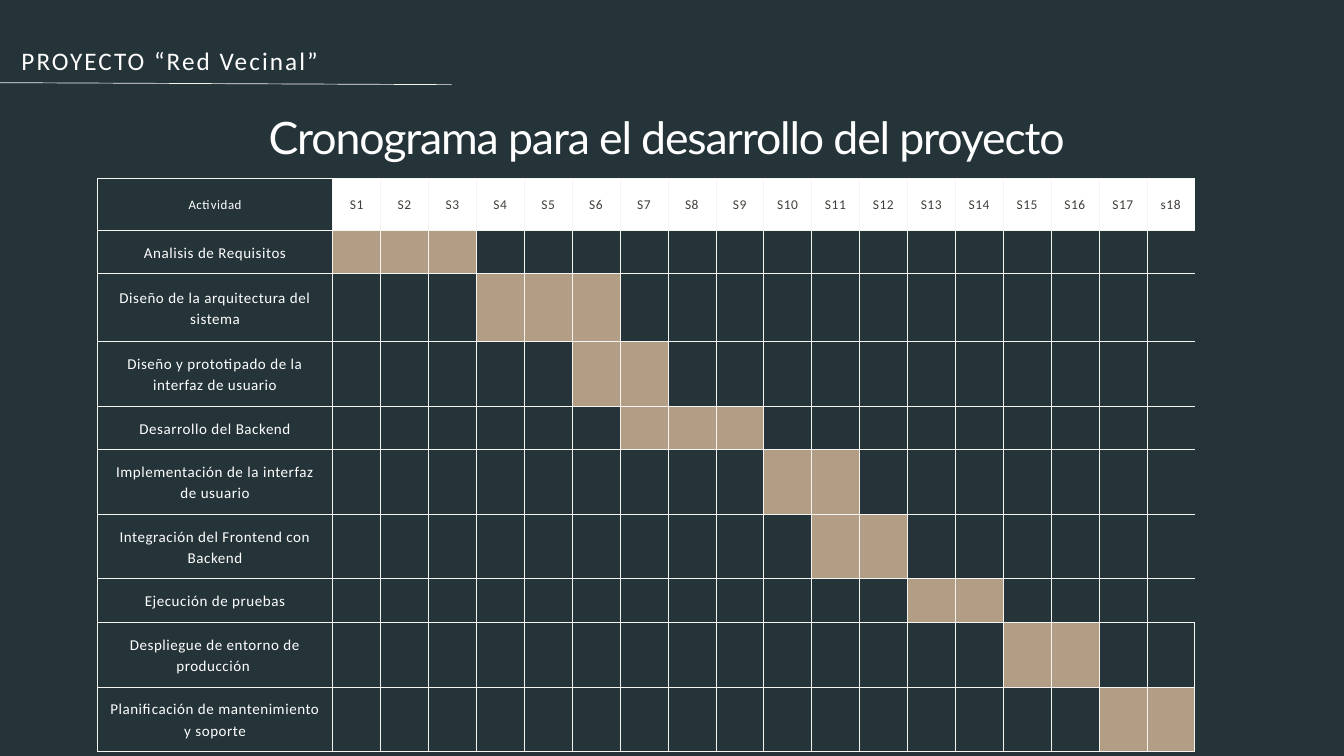
from pptx import Presentation
from pptx.dml.color import RGBColor
from pptx.enum.shapes import MSO_CONNECTOR
from pptx.enum.text import MSO_ANCHOR, PP_ALIGN
from pptx.oxml import parse_xml
from pptx.oxml.ns import nsdecls
from pptx.util import Inches, Pt

# Theme: colours, and per text style the font, size, line height, tracking (pt)
THEME = {
    "background": "253439", "bar": "B29E84", "grid": "F6F4F1", "week_fill": "FFFFFF",
    "title": dict(font="Lato", size=47.8, leading=57.4, tracking=-1.2, color="FFFFFF"),
    "project": dict(font="Calibri", size=27, leading=32.4, tracking=2.2, color="FFFFFF"),
    "corner": dict(font="Calibri", size=13.8, leading=19.2, tracking=0.6, color="FFFFFF"),
    "week": dict(font="Calibri", size=14.4, leading=20.1, tracking=0.6, color="423E3A"),
    "activity": dict(font="Calibri", size=16.1, leading=22.6, tracking=0.6, color="FFFFFF"),
}
GRID_WIDTH = 0.48

# Activity, first week, last week, row height
SCHEDULE = [
    ("Analisis de Requisitos", 1, 3, 0.65),
    ("Diseño de la arquitectura del sistema", 4, 6, 1.01),
    ("Diseño y prototipado de la interfaz de usuario", 6, 7, 0.96),
    ("Desarrollo del Backend", 7, 9, 0.65),
    ("Implementación de la interfaz de usuario", 10, 11, 0.96),
    ("Integración del Frontend con Backend", 11, 12, 0.96),
    ("Ejecución de pruebas", 13, 14, 0.65),
    ("Despliegue de entorno de producción ", 15, 16, 0.96),
    ("Planificación de mantenimiento y soporte", 17, 18, 0.96),
]
WEEKS = [f"S{n}" for n in range(1, 18)] + ["s18"]
OPEN_ROWS = 8  # rows from the top without a right-hand edge


def write(frame, text, style, align=PP_ALIGN.CENTER):
    look = THEME[style]
    paragraph = frame.paragraphs[0]
    paragraph.alignment = align
    paragraph.line_spacing = Pt(look["leading"])
    run = paragraph.add_run()
    run.text = text
    run.font.name = look["font"]
    run.font.size = Pt(look["size"])
    run.font.bold = False
    run.font.color.rgb = RGBColor.from_string(look["color"])
    run.font._element.set("spc", str(round(look["tracking"] * 100)))


def paint(cell, color, open_right):
    properties = cell._tc.get_or_add_tcPr()
    for side in "LRTB":
        hidden = side == "R" and open_right
        width = 0 if hidden else int(Pt(GRID_WIDTH))
        ink = "<a:noFill/>" if hidden else (
            f'<a:solidFill><a:srgbClr val="{THEME["grid"]}"/></a:solidFill>')
        properties.append(parse_xml(
            f'<a:ln{side} {nsdecls("a")} w="{width}">{ink}</a:ln{side}>'))
    cell.fill.solid()
    cell.fill.fore_color.rgb = RGBColor.from_string(color)


presentation = Presentation()
presentation.slide_width, presentation.slide_height = Inches(20), Inches(11.25)
slide = presentation.slides.add_slide(presentation.slide_layouts[5])
slide.background.fill.solid()
slide.background.fill.fore_color.rgb = RGBColor.from_string(THEME["background"])

# Title and project name
title = slide.shapes.title
title.left, title.top = Inches(0.1), Inches(1.63)
title.width, title.height = Inches(19.8), Inches(0.79)
project = slide.shapes.add_textbox(Inches(0.32), Inches(0.67), Inches(19.8), Inches(0.44))
frame_format = dict(margin_left=0, margin_top=0, margin_right=0, margin_bottom=0,
                    word_wrap=True, vertical_anchor=MSO_ANCHOR.TOP)
for box in (title, project):
    for name, value in frame_format.items():
        setattr(box.text_frame, name, value)
write(title.text_frame, "Cronograma para el desarrollo del proyecto ", "title")
write(project.text_frame, "PROYECTO “Red Vecinal”", "project", PP_ALIGN.LEFT)

# Rule under the project name
rule = slide.shapes.add_connector(
    MSO_CONNECTOR.STRAIGHT, Inches(-0.01), Inches(1.23), Inches(6.72), Inches(1.26))
rule.line.color.rgb = RGBColor.from_string(THEME["grid"])
rule.line.width = Pt(0.75)
rule._element.spPr.append(parse_xml(f'<a:effectLst {nsdecls("a")}/>'))

# Schedule table
schedule = slide.shapes.add_table(
    len(SCHEDULE) + 1, len(WEEKS) + 1,
    Inches(1.45), Inches(2.65), Inches(16.33), Inches(8.52)).table
schedule.first_row = schedule.horz_banding = False
activity_width = 3.5
week_width = (16.33 - activity_width) / len(WEEKS)
for index, column in enumerate(schedule.columns):
    column.width = Inches(week_width if index else activity_width)
heights = [0.77] + [height for *_, height in SCHEDULE]
for row, height in zip(schedule.rows, heights):
    row.height = Inches(height)

# Heading row and activity column
labels = [(0, 0, "Actividad", "corner")]
labels += [(0, week, text, "week") for week, text in enumerate(WEEKS, 1)]
labels += [(row, 0, entry[0], "activity") for row, entry in enumerate(SCHEDULE, 1)]
label_format = dict(vertical_anchor=MSO_ANCHOR.MIDDLE)
label_format.update({f"margin_{side}": Inches(0.13)
                     for side in ("left", "top", "right", "bottom")})
for row, column, text, style in labels:
    cell = schedule.cell(row, column)
    for name, value in label_format.items():
        setattr(cell, name, value)
    write(cell.text_frame, text, style)

# Cell fills: white week headings, and one bar for each activity
for row in range(len(SCHEDULE) + 1):
    for week in range(len(WEEKS) + 1):
        color = THEME["background"]
        if row == 0 and week:
            color = THEME["week_fill"]
        elif row:
            _, first, last, _ = SCHEDULE[row - 1]
            if first <= week <= last:
                color = THEME["bar"]
        paint(schedule.cell(row, week), color, row < OPEN_ROWS and week == len(WEEKS))

presentation.save("out.pptx")
